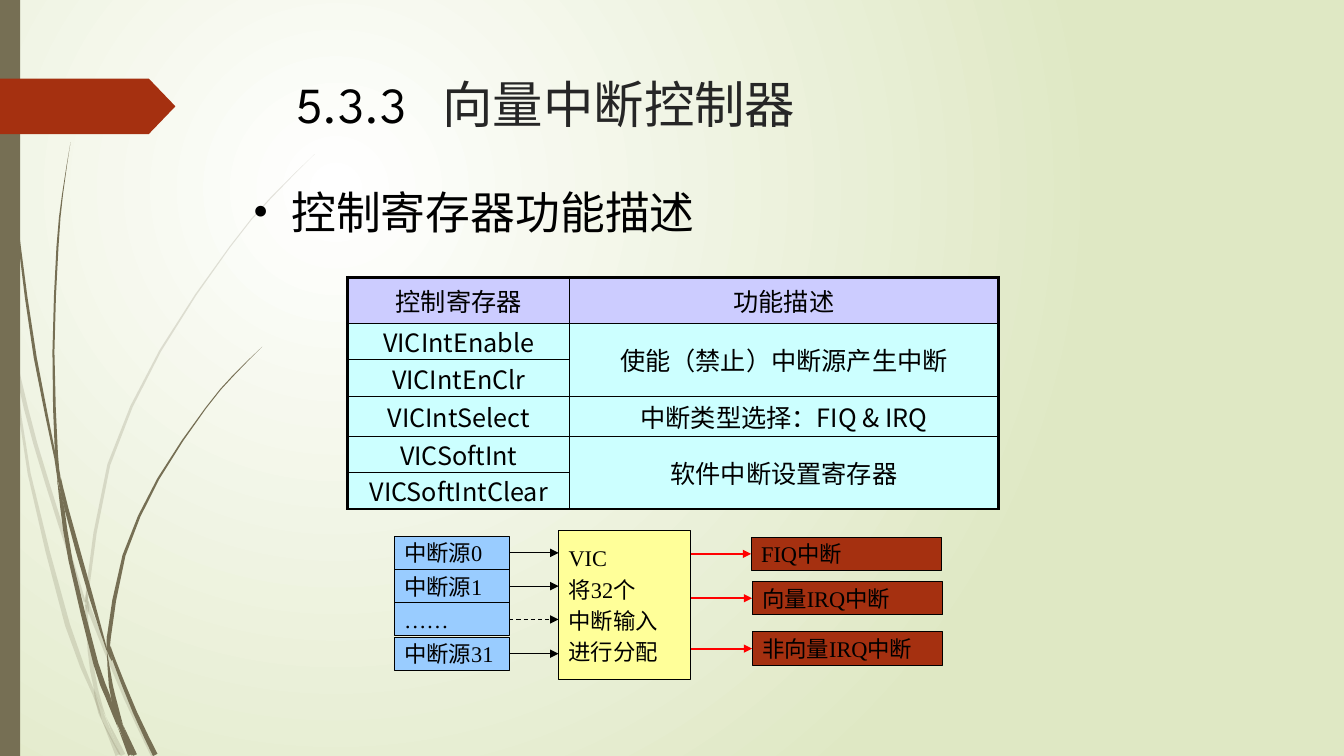
"""Build the slide on the control registers of the vectored interrupt controller."""
import dataclasses
import math
import typing

import lxml.etree
import pptx
import pptx.dml.color
import pptx.enum.dml
import pptx.enum.shapes
import pptx.enum.text
import pptx.oxml.ns
import pptx.util

SCALE = 9144
COLOR = pptx.dml.color.RGBColor
SHAPE = pptx.enum.shapes.MSO_SHAPE
ANCHOR = pptx.enum.text.MSO_ANCHOR
ALIGN = pptx.enum.text.PP_ALIGN
WHITE = COLOR(0xFF, 0xFF, 0xFF)
BLACK = COLOR(0x00, 0x00, 0x00)
CHARCOAL = COLOR(0x26, 0x26, 0x26)
PALE_GREEN = COLOR(0xDF, 0xE8, 0xC4)
OLIVE = COLOR(0x76, 0x6F, 0x54)
RUST = COLOR(0xA5, 0x30, 0x10)
RED = COLOR(0xFF, 0x00, 0x00)
LILAC = COLOR(0xCC, 0xCC, 0xFF)
CYAN = COLOR(0xCC, 0xFF, 0xFF)
BLUE = COLOR(0x99, 0xCC, 0xFF)
YELLOW = COLOR(0xFF, 0xFF, 0x99)
SERIF, SANS, DISPLAY = "Times New Roman", "Noto Sans CJK SC", "League Spartan"
Blade = tuple[tuple[int, int, int], ...]


@dataclasses.dataclass
class Block:
    """A filled rectangle with lines of text."""
    left: int
    top: int
    width: int
    height: int
    fill: COLOR
    lines: tuple[str, ...]


PALE_BLADES: tuple[Blade, ...] = (
    ((2, 290, 3), (6, 322, 3), (11, 350, 0)),
    ((14, 345, 0), (19, 376, 4), (35, 440, 4), (60, 521, 4), (84, 597, 2)),
    ((88, 597, 1), (90, 608, 4), (125, 693, 4), (152, 749, 5)),
    ((105, 711, 0), (122, 749, 5)),
    ((11, 350, 0), (16, 376, 2), (29, 470, 3), (67, 620, 5), (93, 688, 3), (101, 714, 0)),
    ((85, 600, 2), (89, 646, 4), (95, 683, 4), (105, 711, 0)),
    ((312, 153, 0), (268, 197, 1), (228, 245, 1), (159, 348, 2), (108, 461, 3),
     (87, 584, 3), (87, 596, 1)),
    ((101, 714, 0), (117, 749, 5)),
    ((86, 586, 0), (86, 598, 4), (88, 610, 0)),
    ((93, 683, 0), (100, 707, 5), (119, 749, 1)),
)
DARK_BLADES: tuple[Blade, ...] = (
    ((4, 0, 1), (5, 48, 1), (7, 110, 2), (18, 232, 2), (35, 355, 3), (55, 455, 2),
     (57, 481, 0)),
    ((60, 472, 0), (66, 505, 4), (90, 591, 4), (106, 645, 1)),
    ((110, 641, 0), (112, 652, 3), (134, 707, 4), (154, 749, 5)),
    ((57, 477, 0), (62, 505, 4), (70, 556, 4), (95, 658, 5), (107, 691, 5), (117, 722, 0)),
    ((70, 141, 0), (62, 193, 1), (57, 245, 2), (53, 349, 2), (56, 451, 3), (60, 472, 0)),
    ((122, 719, 0), (134, 749, 4)),
    ((55, 449, 0), (59, 477, 3), (64, 505, 0)),
    ((260, 344, 0), (231, 373, 1), (204, 405, 1), (157, 475, 2), (123, 551, 3),
     (108, 632, 4), (110, 641, 0)),
    ((117, 722, 0), (129, 749, 4)),
    ((106, 645, 0), (110, 680, 4), (115, 700, 4), (122, 719, 0)),
    ((106, 631, 0), (108, 645, 4), (111, 656, 0)),
    ((110, 691, 0), (117, 714, 5), (132, 749, 3)),
)
VIC = Block(554, 526, 131, 148, YELLOW, ("VIC", "将32个", "中断输入", "进行分配"))
SOURCES = tuple(Block(391, 532 + 100 * i // 3, 114, 33, BLUE, (text,))
                for i, text in enumerate(("中断源0", "中断源1", "……", "中断源31")))
OUTPUTS = tuple(Block(left, top, 189, 33, RUST, (text,)) for left, top, text in
                ((745, 533, "FIQ中断"), (746, 577, "向量IRQ中断"), (746, 627, "非向量IRQ中断")))
COLUMNS, ROWS = (220, 425), (46, 36, 36, 40, 36, 36)
REGISTERS = (("控制寄存器", "功能描述"),
             ("VICIntEnable", "使能（禁止）中断源产生中断"), ("VICIntEnClr", ""),
             ("VICIntSelect", "中断类型选择：FIQ & IRQ"),
             ("VICSoftInt", "软件中断设置寄存器"), ("VICSoftIntClear", ""))
MERGED_ROWS = ((1, 2), (4, 5))


def px(*lengths: int) -> list[int]:
    """Turn px into EMU."""
    return [pptx.util.Emu(length * SCALE) for length in lengths]


def assign(target: typing.Any, formats: dict[str, typing.Any]) -> None:
    """Set every format value on the target."""
    for name, value in formats.items():
        setattr(target, name, value)


def child(parent: typing.Any, tag: str, **values: typing.Any) -> typing.Any:
    """Append an XML element to the parent."""
    return lxml.etree.SubElement(parent, pptx.oxml.ns.qn(tag),
                                 {name: str(value) for name, value in values.items()})


def write(para: typing.Any, text: str, size: int, face: str, color: COLOR = BLACK) -> None:
    """Add a run of text to the paragraph."""
    span = para.add_run()
    span.text = text
    assign(span.font, {"size": pptx.util.Pt(size), "name": face})
    span.font.color.rgb = color
    child(span._r.get_or_add_rPr(), "a:ea", typeface=SANS)


def paint_background(page: typing.Any) -> None:
    """Fill the background with a round gradient."""
    fill = page.background.fill
    fill.gradient()
    for stop, color, position in zip(fill.gradient_stops, (WHITE, PALE_GREEN), (0, 1)):
        stop.color.rgb = color
        stop.position = position
    gradient = page.element.find(".//" + pptx.oxml.ns.qn("a:gradFill"))
    gradient.remove(gradient.find(pptx.oxml.ns.qn("a:lin")))
    circle = child(gradient, "a:path", path="circle")
    child(circle, "a:fillToRect", l=50000, t=50000, r=100000, b=100000)


def smooth(points: Blade, steps: int = 2) -> list[list[float]]:
    """Run a Catmull-Rom curve through the points."""
    padded = (points[0], *points, points[-1])
    curve = []
    for a, b, c, d in zip(padded, padded[1:], padded[2:], padded[3:]):
        for t in (step / steps for step in range(steps)):
            curve.append([q + (r - p) * t / 2 + (2 * p - 5 * q + 4 * r - s) * t * t / 2
                          + (3 * q - p - 3 * r + s) * t ** 3 / 2
                          for p, q, r, s in zip(a, b, c, d)])
    return curve + [list(points[-1])]


def draw_blade(page: typing.Any, blade: Blade, opacity: int) -> None:
    """Draw a grass blade from centre points with widths."""
    curve = smooth(blade)
    near, far = [], []
    for i, (x, y, width) in enumerate(curve):
        before, after = curve[max(i - 1, 0)], curve[min(i + 1, len(curve) - 1)]
        angle = math.atan2(after[1] - before[1], after[0] - before[0])
        dx, dy = -math.sin(angle) * width / 2, math.cos(angle) * width / 2
        near.append(((x + dx) * SCALE, (y + dy) * SCALE))
        far.append(((x - dx) * SCALE, (y - dy) * SCALE))
    outline = near + far[::-1]
    builder = page.shapes.build_freeform(*outline[0], scale=1.0)
    builder.add_line_segments(outline[1:], close=True)
    shape = builder.convert_to_shape()
    finish(shape, OLIVE)
    if opacity < 100:
        color = shape.element.spPr.find(".//" + pptx.oxml.ns.qn("a:srgbClr"))
        child(color, "a:alpha", val=opacity * 1000)


def finish(shape: typing.Any, fill: COLOR) -> None:
    """Give a shape a plain fill without line or shadow."""
    shape.shadow.inherit = False
    shape.fill.solid()
    shape.fill.fore_color.rgb = fill
    shape.line.fill.background()


def draw_block(page: typing.Any, block: Block) -> typing.Any:
    """Draw an outlined block of the diagram."""
    box = page.shapes.add_shape(SHAPE.RECTANGLE,
                                *px(block.left, block.top, block.width, block.height))
    finish(box, block.fill)
    box.line.color.rgb = BLACK
    box.line.width = pptx.util.Pt(0.75)
    assign(box.text_frame, {"word_wrap": False, "vertical_anchor": ANCHOR.MIDDLE})
    for i, text in enumerate(block.lines):
        para = box.text_frame.add_paragraph() if i else box.text_frame.paragraphs[0]
        assign(para, {"alignment": ALIGN.LEFT, "space_before": pptx.util.Pt(3.2 if i else 0)})
        write(para, text, 16, SERIF)
    return box


def draw_arrow(page: typing.Any, left: int, right: int, y: int, color: COLOR,
               width: float, dashed: bool = False) -> typing.Any:
    """Draw a level arrow that points right."""
    arrow = page.shapes.add_connector(pptx.enum.shapes.MSO_CONNECTOR.STRAIGHT,
                                      left, y, right, y)
    arrow.line.color.rgb = color
    arrow.line.width = pptx.util.Pt(width)
    if dashed:
        arrow.line.dash_style = pptx.enum.dml.MSO_LINE.DASH
    child(arrow.line._get_or_add_ln(), "a:tailEnd", type="triangle")
    child(arrow.element.spPr, "a:effectLst")
    return arrow


def draw_diagram(page: typing.Any) -> None:
    """Draw the sources, the controller and its outputs."""
    vic = draw_block(page, VIC)
    for source in SOURCES:
        box = draw_block(page, source)
        arrow = draw_arrow(page, box.left + box.width, vic.left, box.top + box.height // 2,
                           BLACK, 0.75, source.lines == ("……",))
        arrow.begin_connect(box, 3)
    for output in OUTPUTS:
        box = draw_block(page, output)
        arrow = draw_arrow(page, vic.left + vic.width, box.left,
                           box.top + box.height // 2, RED, 1.5)
        arrow.end_connect(box, 1)


def draw_table(page: typing.Any) -> None:
    """Draw the table of registers."""
    table = page.shapes.add_table(len(ROWS), len(COLUMNS),
                                  *px(345, 275, sum(COLUMNS), sum(ROWS))).table
    assign(table, {"first_row": False, "horz_banding": False})
    for column, width in zip(table.columns, px(*COLUMNS)):
        column.width = width
    for row, height in zip(table.rows, px(*ROWS)):
        row.height = height
    for first, last in MERGED_ROWS:
        table.cell(first, 1).merge(table.cell(last, 1))
    for r, texts in enumerate(REGISTERS):
        for c, text in enumerate(texts):
            cell = table.cell(r, c)
            cell.vertical_anchor = ANCHOR.MIDDLE
            if r:
                assign(cell, dict.fromkeys(
                    ("margin_left", "margin_top", "margin_right", "margin_bottom"), 0))
            cell.fill.solid()
            cell.fill.fore_color.rgb = CYAN if r else LILAC
            edges = {"L": c == 0, "R": c == 1, "T": r == 0, "B": r == len(ROWS) - 1}
            properties = cell._tc.get_or_add_tcPr()
            for i, (side, outer) in enumerate(edges.items()):
                line = child(properties, f"a:ln{side}", w=pptx.util.Pt(2.25 if outer else 1))
                child(child(line, "a:solidFill"), "a:srgbClr", val=BLACK)
                properties.insert(i, line)
            if text:
                para = cell.text_frame.paragraphs[0]
                para.alignment = ALIGN.CENTER
                write(para, text, 18, SANS)


def add_line(page: typing.Any, *place: int) -> typing.Any:
    """Add a wrapping text box and return its paragraph."""
    frame = page.shapes.add_textbox(*px(*place)).text_frame
    frame.word_wrap = True
    return frame.paragraphs[0]


def main() -> None:
    """Build and save the deck."""
    deck = pptx.Presentation()
    assign(deck, dict(zip(("slide_width", "slide_height"), px(1333, 750))))
    page = deck.slides.add_slide(deck.slide_layouts[6])
    paint_background(page)
    for blades, opacity in ((PALE_BLADES, 20), (DARK_BLADES, 100)):
        for blade in blades:
            draw_blade(page, blade, opacity)
    finish(page.shapes.add_shape(SHAPE.RECTANGLE, *px(0, 0, 20, 750)), OLIVE)
    banner = page.shapes.add_shape(SHAPE.PENTAGON, *px(0, 78, 174, 55))
    banner.adjustments[0] = 0.48
    finish(banner, RUST)
    heading = add_line(page, 241, 178, 842, 63)
    indent = px(38)[0]
    properties = heading._p.get_or_add_pPr()
    for name, value in {"marL": indent, "indent": -indent}.items():
        properties.set(name, str(value))
    child(properties, "a:buFont", typeface=SERIF)
    child(properties, "a:buChar", char="•")
    write(heading, "控制寄存器功能描述", 32, SERIF)
    title = add_line(page, 284, 68, 975, 140)
    tabs = child(title._p.get_or_add_pPr(), "a:tabLst")
    child(tabs, "a:tab", pos=px(145)[0], algn="l")
    write(title, "5.3.3\t", 36, DISPLAY)
    write(title, "向量中断控制器", 36, DISPLAY, CHARCOAL)
    draw_table(page)
    draw_diagram(page)
    deck.save("out.pptx")


if __name__ == "__main__":
    main()
